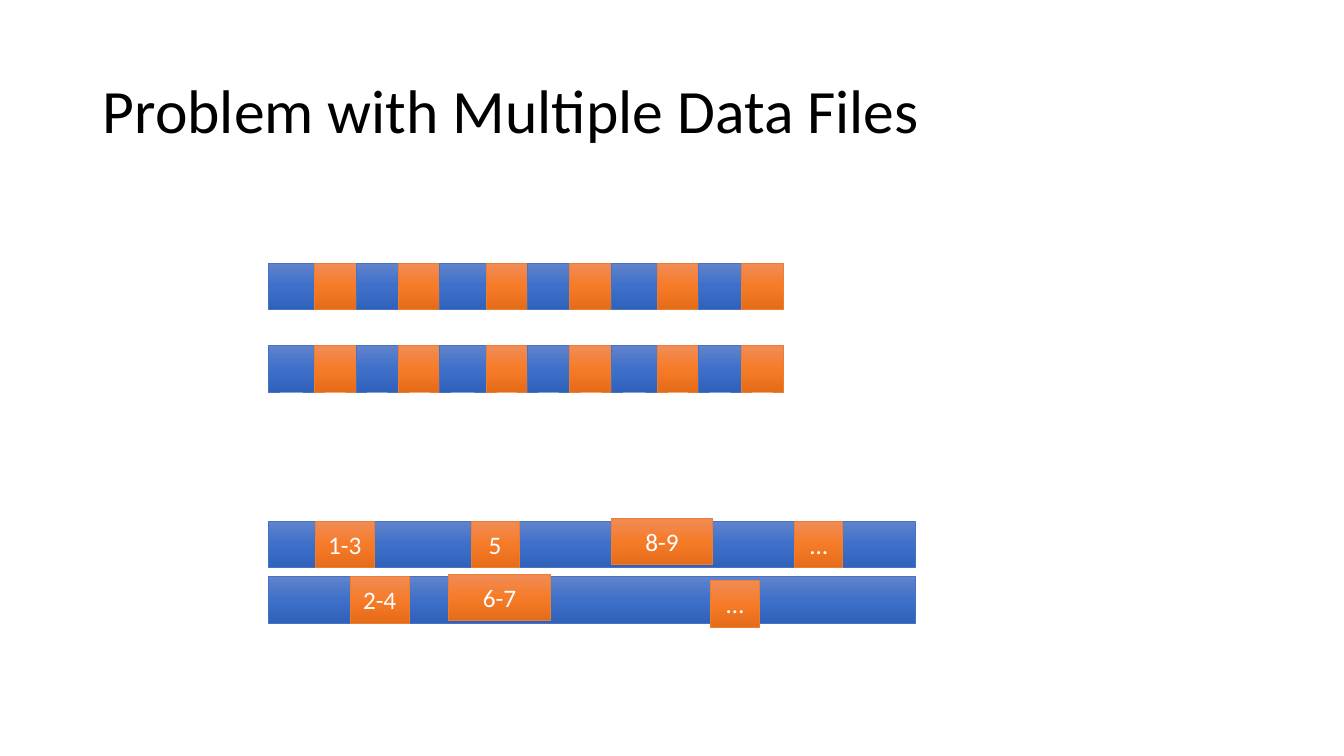
from copy import deepcopy

from pptx import Presentation
from pptx.dml.color import RGBColor
from pptx.enum.shapes import MSO_SHAPE
from pptx.enum.text import MSO_ANCHOR, MSO_AUTO_SIZE, PP_ALIGN
from pptx.oxml.ns import qn
from pptx.util import Inches, Pt

COLS, ROWS = 1333, 750
CELL = Inches(13.33) / COLS
BAR_H = 46
BLUE = ("6183CB", "3E70CA", "3062BB", "4472C4")
ORANGE = ("F18C57", "F67B28", "E56C19", "ED7D31")


def rgb(value):
    return RGBColor.from_string(value)


def grid(*cells):
    return [round(c * CELL) for c in cells]


def write(tf, text, size=18, color="FFFFFF", align=PP_ALIGN.CENTER, spacing=None):
    tf.word_wrap = True
    tf.auto_size = MSO_AUTO_SIZE.NONE
    tf.vertical_anchor = MSO_ANCHOR.MIDDLE
    p = tf.paragraphs[0]
    p.alignment = align
    p.line_spacing = spacing
    r = p.add_run()
    r.text = text
    r.font.name = "Calibri"
    r.font.size = Pt(size)
    r.font.color.rgb = rgb(color)


def add_block(s, x, y, w, palette, text=None):
    sp = s.shapes.add_shape(MSO_SHAPE.RECTANGLE, *grid(x, y, w, BAR_H))
    sp.shadow.inherit = False
    sp.fill.gradient()
    sp.fill.gradient_angle = 270
    stops = sp.element.spPr.find(".//" + qn("a:gsLst"))
    stops.append(deepcopy(stops[0]))
    for stop, color, position in zip(sp.fill.gradient_stops, palette, (0, 0.5, 1)):
        stop.color.rgb = rgb(color)
        stop.position = position
    sp.line.color.rgb = rgb(palette[3])
    sp.line.width = Pt(0.5)
    if text:
        write(sp.text_frame, text)


def add_title(s, text, x, y, w, h):
    title = s.shapes.title
    title.left, title.top, title.width, title.height = grid(x, y, w, h)
    write(title.text_frame, text, size=44, color="000000",
          align=PP_ALIGN.LEFT, spacing=0.9)


def add_striped_bar(s, x, y, groups=3, pitch=170):
    stripes = ((0, 46, BLUE), (46, 41, ORANGE), (87, 42, BLUE), (129, 42, ORANGE))
    for group in range(groups):
        for offset, width, palette in stripes:
            add_block(s, x + group * pitch + offset, y, width, palette)


def add_data_file(s, x, y, w, ranges):
    add_block(s, x, y, w, BLUE)
    for dx, dy, width, label in ranges:
        add_block(s, x + dx, y + dy, width, ORANGE, label)


def main():
    prs = Presentation()
    prs.slide_width, prs.slide_height = grid(COLS, ROWS)
    s = prs.slides.add_slide(prs.slide_layouts[5])
    add_title(s, "Problem with Multiple Data Files", 92, 40, 1150, 145)
    left = 266
    for y in (261, 343):
        add_striped_bar(s, left, y)
    add_data_file(s, left, 517, 642, (
        (340, -3, 101, "8-9"), (47, 0, 58, "1-3"),
        (201, 0, 48, "5"), (522, 0, 48, "…")))
    add_data_file(s, left, 572, 642, (
        (179, -2, 101, "6-7"), (81, 0, 59, "2-4"), (439, 4, 48, "…")))
    prs.save("out.pptx")


if __name__ == "__main__":
    main()
